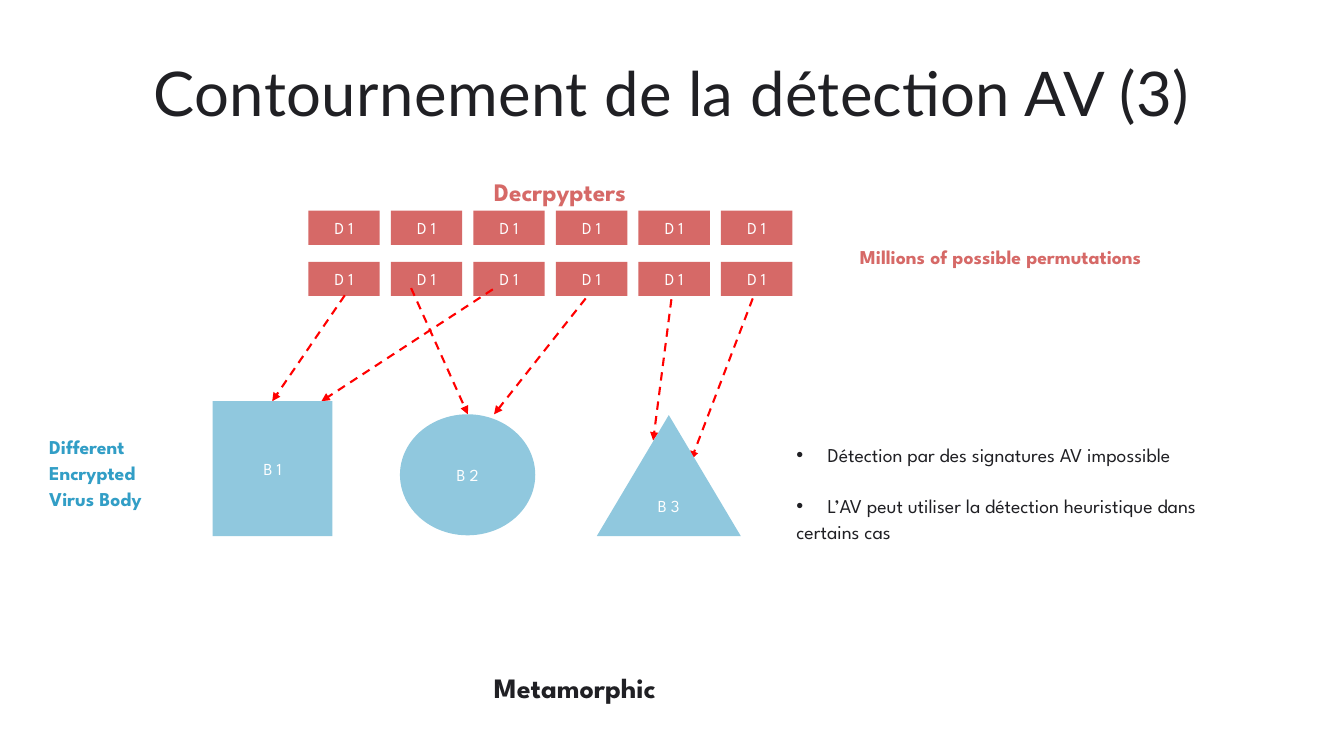
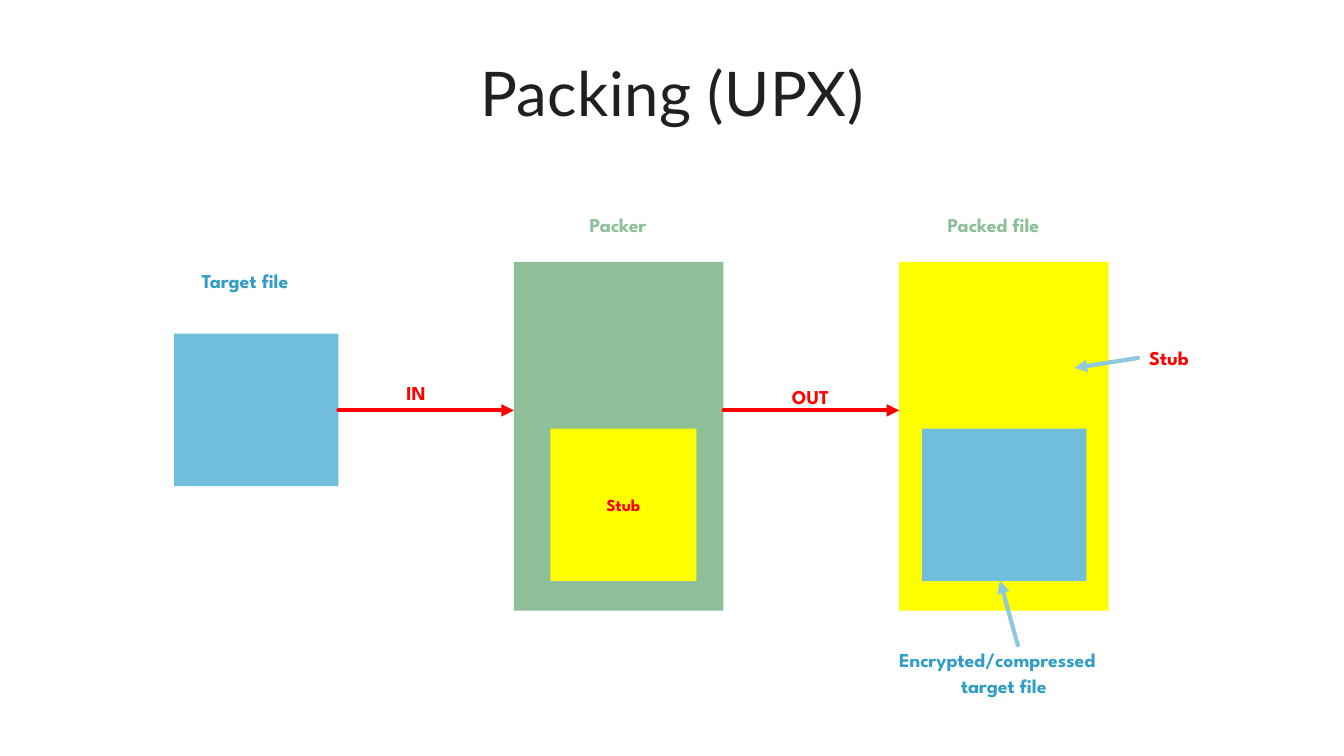
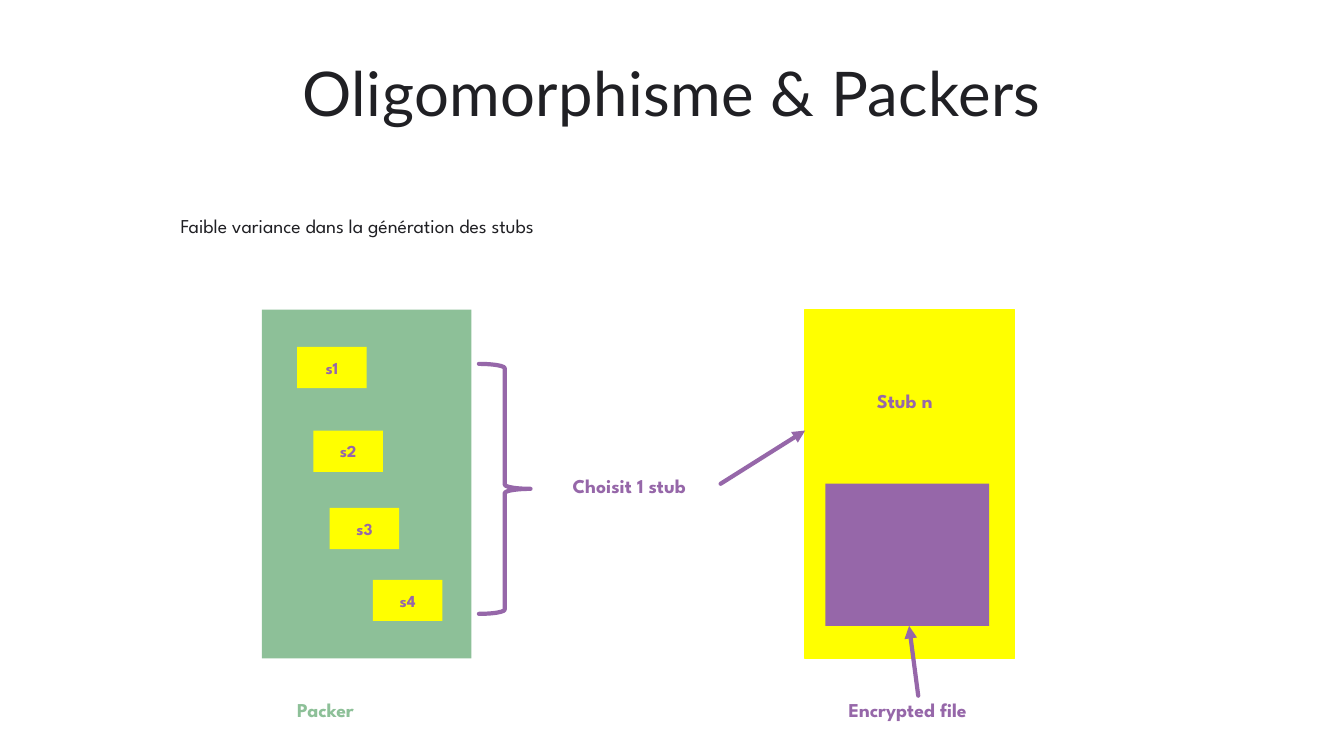
from dataclasses import dataclass

from lxml.etree import SubElement
from pptx import Presentation
from pptx.dml.color import RGBColor
from pptx.enum.dml import MSO_LINE
from pptx.enum.shapes import MSO_CONNECTOR, MSO_SHAPE
from pptx.enum.text import MSO_ANCHOR, MSO_AUTO_SIZE, PP_ALIGN
from pptx.oxml.ns import qn
from pptx.slide import Slide
from pptx.text.text import TextFrame, _Paragraph
from pptx.util import Cm, Pt

COLOURS = {
    "ink": "202024",
    "white": "FFFFFF",
    "coral": "D66967",
    "pale blue": "90C8DE",
    "sky": "70BEDB",
    "blue": "329EC6",
    "green": "8DC098",
    "yellow": "FFFF00",
    "red": "FF0000",
    "purple": "9667A9",
}
TITLE_FONT = "Lato"
BODY_FONT = "League Spartan"

DECRYPTER_COLUMNS, DECRYPTER_ROWS = 6, 2
DECRYPTER_LEFT, DECRYPTER_TOP = 7.77, 5.31
DECRYPTER_PITCH_X, DECRYPTER_PITCH_Y = 2.08, 1.29
PACKER_WIDTH, PACKER_HEIGHT = 5.28, 8.79
STUB_WIDTH, STUB_HEIGHT = 1.75, 1.04


@dataclass(frozen=True)
class Line:
    """One paragraph; hang is the room kept for a bullet, in cm."""
    text: str
    indent: float = 0
    hang: float = 0
    space_before: float = 0


@dataclass(frozen=True)
class Label:
    left: float
    top: float
    width: float
    lines: tuple[Line, ...]
    colour: str
    size: float = 14
    bold: bool = True


@dataclass(frozen=True)
class Box:
    left: float
    top: float
    width: float
    height: float
    fill: str | None
    text: str = ""
    text_colour: str = "white"
    bold: bool = False
    kind: MSO_SHAPE = MSO_SHAPE.RECTANGLE
    outline: str | None = None
    outline_width: float = 3


@dataclass(frozen=True)
class Arrow:
    start: tuple[float, float]
    end: tuple[float, float]
    colour: str
    width: float = 3
    dashed: bool = False


def colour_of(name: str) -> RGBColor:
    return RGBColor.from_string(COLOURS[name])


def style_font(paragraph: _Paragraph, font_name: str, size: float, colour: str, bold: bool = False) -> None:
    font = paragraph.font
    font.name = font_name
    font.size = Pt(size)
    font.bold = bold
    font.color.rgb = colour_of(colour)


def clear_margins(frame: TextFrame) -> None:
    frame.margin_left = frame.margin_top = frame.margin_right = frame.margin_bottom = 0


def set_indent(paragraph: _Paragraph, line: Line) -> None:
    properties = paragraph._p.get_or_add_pPr()
    properties.set("marL", str(Cm(line.indent + line.hang)))
    properties.set("indent", str(-Cm(line.hang)))
    if line.hang:
        SubElement(properties, qn("a:buFont"), typeface="Arial")
        SubElement(properties, qn("a:buChar"), char="•")


def add_title(page: Slide, text: str) -> None:
    box = page.shapes.add_textbox(Cm(2.01), Cm(1.52), Cm(29.87), Cm(1.78))
    frame = box.text_frame
    clear_margins(frame)
    frame.word_wrap = True
    paragraph = frame.paragraphs[0]
    paragraph.alignment = PP_ALIGN.CENTER
    paragraph.line_spacing = 0.95
    span = paragraph.add_run()
    span.text = text
    span._r.get_or_add_rPr().set("spc", "30")
    style_font(paragraph, TITLE_FONT, 44, "ink")


def add_label(page: Slide, label: Label) -> None:
    height = 0.64 * len(label.lines) * label.size / 14
    box = page.shapes.add_textbox(Cm(label.left), Cm(label.top), Cm(label.width), Cm(height))
    frame = box.text_frame
    clear_margins(frame)
    frame.word_wrap = False
    frame.auto_size = MSO_AUTO_SIZE.SHAPE_TO_FIT_TEXT
    for index, line in enumerate(label.lines):
        paragraph = frame.add_paragraph() if index else frame.paragraphs[0]
        paragraph.text = line.text
        set_indent(paragraph, line)
        paragraph.line_spacing = 1.1
        if line.space_before:
            paragraph.space_before = Pt(line.space_before)
        style_font(paragraph, BODY_FONT, label.size, label.colour, label.bold)


def add_box(page: Slide, box: Box) -> None:
    shape = page.shapes.add_shape(box.kind, Cm(box.left), Cm(box.top), Cm(box.width), Cm(box.height))
    shape.shadow.inherit = False
    if box.fill:
        shape.fill.solid()
        shape.fill.fore_color.rgb = colour_of(box.fill)
    else:
        shape.fill.background()
    if box.outline:
        shape.line.color.rgb = colour_of(box.outline)
        shape.line.width = Pt(box.outline_width)
        shape.get_or_add_ln().set("cap", "rnd")
    else:
        shape.line.fill.background()
    if box.text:
        frame = shape.text_frame
        frame.margin_left = frame.margin_top = frame.margin_right = frame.margin_bottom = Cm(0.2)
        frame.word_wrap = False
        frame.vertical_anchor = MSO_ANCHOR.MIDDLE
        paragraph = frame.paragraphs[0]
        paragraph.text = box.text
        paragraph.alignment = PP_ALIGN.CENTER
        style_font(paragraph, BODY_FONT, 12, box.text_colour, box.bold)


def add_arrow(page: Slide, arrow: Arrow) -> None:
    ends = [Cm(value) for value in (*arrow.start, *arrow.end)]
    connector = page.shapes.add_connector(MSO_CONNECTOR.STRAIGHT, *ends)
    connector.line.color.rgb = colour_of(arrow.colour)
    connector.line.width = Pt(arrow.width)
    outline = connector.get_or_add_ln()
    if arrow.dashed:
        connector.line.dash_style = MSO_LINE.DASH
    else:
        outline.set("cap", "rnd")
    SubElement(outline, qn("a:tailEnd"), type="triangle")
    SubElement(connector._element.spPr, qn("a:effectLst"))


def draw(page: Slide, items: list[Box | Arrow | Label]) -> None:
    """Draw the items from back to front."""
    drawers = {Box: add_box, Arrow: add_arrow, Label: add_label}
    for item in items:
        drawers[type(item)](page, item)


def metamorphic_items() -> list[Box | Arrow | Label]:
    decrypters = [
        Box(DECRYPTER_LEFT + column * DECRYPTER_PITCH_X, DECRYPTER_TOP + row * DECRYPTER_PITCH_Y,
            1.8, 0.86, "coral", "D 1")
        for row in range(DECRYPTER_ROWS)
        for column in range(DECRYPTER_COLUMNS)
    ]
    routes = [
        ((8.69, 7.44), (6.86, 10.11)),
        ((10.36, 7.26), (11.79, 10.44)),
        ((12.42, 7.29), (8.1, 10.11)),
        ((14.76, 7.52), (12.45, 10.44)),
        ((16.92, 7.54), (16.46, 11.1)),
        ((18.97, 7.52), (17.42, 11.58)),
    ]
    arrows = [Arrow(start, end, "red", 1.5, dashed=True) for start, end in routes]
    bodies = [
        Box(5.36, 10.11, 3.02, 3.4, "pale blue", "B 1"),
        Box(10.08, 10.44, 3.41, 3.05, "pale blue", "B 2", kind=MSO_SHAPE.OVAL),
        Box(15.04, 10.46, 3.63, 3.05, "pale blue", "B 3", kind=MSO_SHAPE.ISOSCELES_TRIANGLE),
    ]
    body_name = (Line("Different"), Line("Encrypted"), Line("Virus Body"))
    findings = (
        Line("Détection par des signatures AV impossible", hang=0.79),
        Line("L’AV peut utiliser la détection heuristique dans", hang=0.79, space_before=18),
        Line("certains cas"),
    )
    labels = [
        Label(12.45, 4.37, 4.04, (Line("Decrpypters"),), "coral", 18),
        Label(21.67, 6.12, 8.33, (Line("Millions of possible permutations"),), "coral"),
        Label(1.24, 10.9, 2.69, body_name, "blue"),
        Label(20.07, 11.1, 11.76, findings, "ink", bold=False),
        Label(12.45, 16.81, 4.83, (Line("Metamorphic"),), "ink", 20),
    ]
    return [*decrypters, *arrows, *bodies, *labels]


def packing_items() -> list[Box | Arrow | Label]:
    payload_name = (Line("Encrypted/compressed"), Line("target file", indent=1.56))
    return [
        Box(4.39, 8.41, 4.14, 3.84, "sky"),
        Box(12.95, 6.6, PACKER_WIDTH, PACKER_HEIGHT, "green"),
        Box(13.87, 10.8, 3.68, 3.84, "yellow", "Stub", "red", bold=True),
        Box(22.66, 6.6, PACKER_WIDTH, PACKER_HEIGHT, "yellow"),
        Box(23.24, 10.8, 4.14, 3.84, "sky"),
        Arrow((8.53, 10.34), (12.95, 10.34), "red"),
        Arrow((18.24, 10.34), (22.66, 10.34), "red"),
        Arrow((25.65, 16.26), (25.2, 14.63), "pale blue"),
        Arrow((28.68, 9.02), (27.08, 9.27), "pale blue"),
        Label(5.08, 6.71, 2.59, (Line("Target file"),), "blue"),
        Label(14.86, 5.31, 1.75, (Line("Packer"),), "green"),
        Label(23.88, 5.31, 2.74, (Line("Packed file"),), "green"),
        Label(10.24, 9.53, 0.53, (Line("IN"),), "red"),
        Label(19.96, 9.63, 1.35, (Line("OUT"),), "red"),
        Label(28.96, 8.66, 1.19, (Line("Stub"),), "red"),
        Label(22.66, 16.26, 5.94, payload_name, "blue"),
    ]


def oligomorphism_items() -> list[Box | Arrow | Label]:
    stub_corners = [(7.49, 8.74), (7.9, 10.85), (8.31, 12.8), (9.4, 14.61)]
    stubs = [
        Box(left, top, STUB_WIDTH, STUB_HEIGHT, "yellow", f"s{number}", "purple", bold=True)
        for number, (left, top) in enumerate(stub_corners, start=1)
    ]
    return [
        Box(6.6, 7.8, PACKER_WIDTH, PACKER_HEIGHT, "green"),
        *stubs,
        Box(20.29, 7.8, PACKER_WIDTH, PACKER_HEIGHT, "yellow", outline="yellow", outline_width=1),
        Box(20.8, 12.19, 4.13, 3.58, "purple"),
        Box(12.07, 9.17, 1.3, 6.3, None, kind=MSO_SHAPE.RIGHT_BRACE, outline="purple"),
        Arrow((18.16, 12.19), (20.29, 10.85), "purple"),
        Arrow((23.14, 17.53), (22.91, 15.77), "purple"),
        Label(4.55, 5.33, 10.29, (Line("Faible variance dans la génération des stubs"),), "ink", bold=False),
        Label(14.43, 11.89, 3.38, (Line("Choisit 1 stub"),), "purple"),
        Label(22.1, 9.75, 1.63, (Line("Stub n"),), "purple"),
        Label(7.49, 17.53, 1.75, (Line("Packer"),), "green"),
        Label(21.39, 17.53, 3.53, (Line("Encrypted file"),), "purple"),
    ]


def main() -> None:
    deck = Presentation()
    deck.slide_width, deck.slide_height = Cm(33.87), Cm(19.05)
    blank = deck.slide_layouts[6]
    pages = {
        "Contournement de la détection AV (3)": metamorphic_items(),
        "Packing (UPX)": packing_items(),
        "Oligomorphisme & Packers": oligomorphism_items(),
    }
    for title, items in pages.items():
        page = deck.slides.add_slide(blank)
        add_title(page, title)
        draw(page, items)
    deck.save("out.pptx")


if __name__ == "__main__":
    main()
